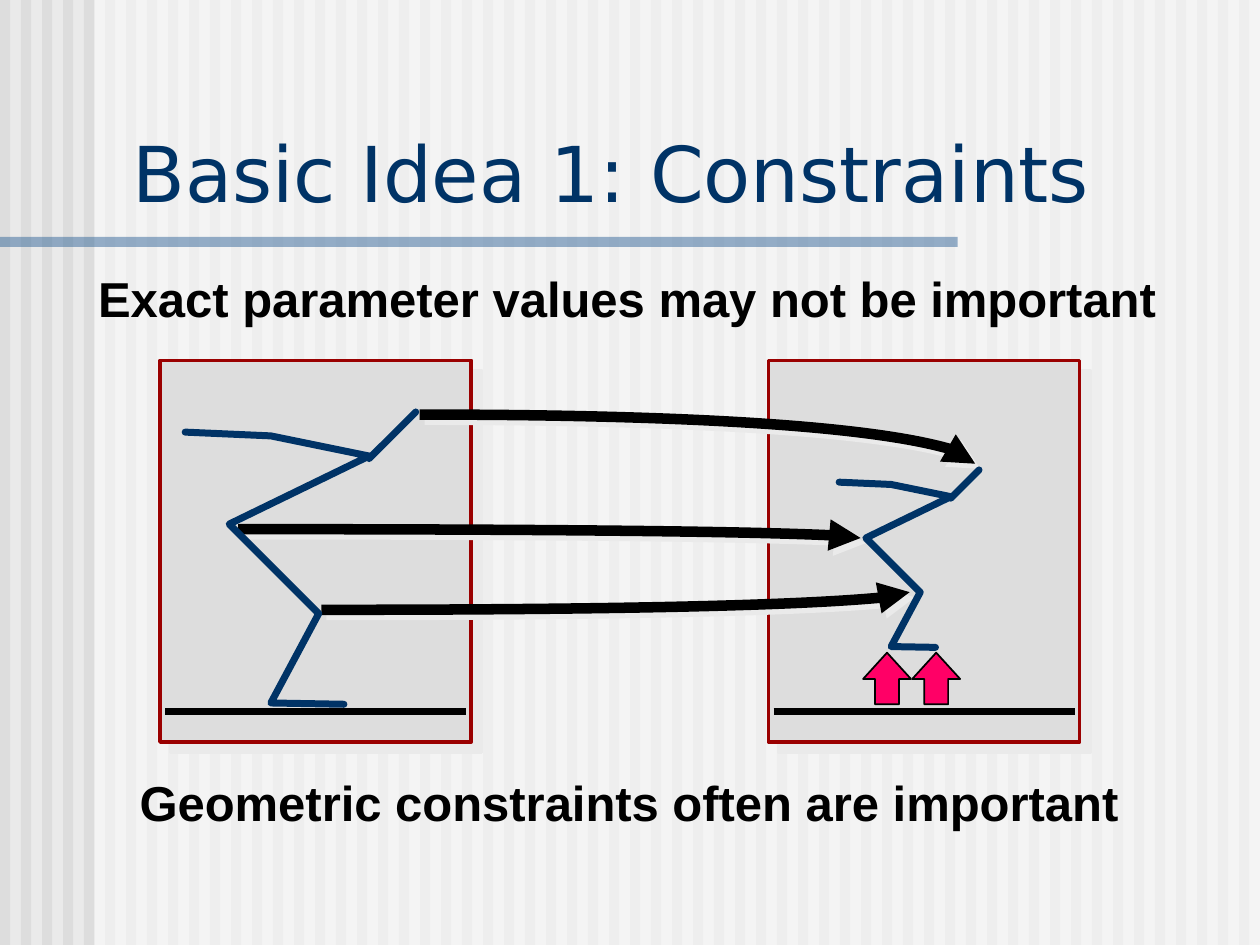
from lxml import etree
from pptx import Presentation
from pptx.dml.color import RGBColor
from pptx.enum.shapes import MSO_CONNECTOR, MSO_SHAPE
from pptx.enum.text import MSO_ANCHOR, MSO_AUTO_SIZE, PP_ALIGN
from pptx.oxml.ns import qn
from pptx.util import Inches, Pt

RECTANGLE, UP_ARROW = MSO_SHAPE.RECTANGLE, MSO_SHAPE.UP_ARROW
STRAIGHT = MSO_CONNECTOR.STRAIGHT
BOTTOM, LEFT, NO_AUTOFIT = MSO_ANCHOR.BOTTOM, PP_ALIGN.LEFT, MSO_AUTO_SIZE.NONE

PAPER = RGBColor(0xEA, 0xEA, 0xEA)
GREY = RGBColor(0xDD, 0xDD, 0xDD)
WHITE = RGBColor(0xFF, 0xFF, 0xFF)
BLACK = RGBColor(0, 0, 0)
STEEL = RGBColor(0x33, 0x66, 0x99)
NAVY = RGBColor(0x00, 0x33, 0x66)
MAROON = RGBColor(0x9A, 0x00, 0x00)
PINK = RGBColor(0xFF, 0x00, 0x66)

ELLIPSE_HANDLE = 0.5523  # Bezier handle length of a quarter ellipse

# Joints of the figure, in inches from its left edge and the top of its head
BODY = [(1.26, 2.32), (0.68, 2.31), (1.06, 1.6), (0.35, 0.89),
        (1.46, 0.35), (0.68, 0.19), (0, 0.16)]
HEAD = [(1.83, 0), (1.46, 0.37)]


def add_xml(parent, tag, **attributes):
    return etree.SubElement(
        parent, qn(tag), {key: str(value) for key, value in attributes.items()})


def style_line(line, color, width):
    line.color.rgb = color
    line.width = Pt(width)


def add_shadow(shape, distance):
    effects = shape.element.spPr.find(qn("a:effectLst"))
    shadow = add_xml(effects, "a:outerShdw", dist=Pt(distance), dir=45 * 60000,
                     algn="ctr", rotWithShape=0)
    add_xml(shadow, "a:srgbClr", val=PAPER)


def add_block(slide, kind, box, fill, line=None, opacity=None):
    """Add a filled preset shape; line is a (colour, width) pair."""
    block = slide.shapes.add_shape(kind, *map(Inches, box))
    block.shadow.inherit = False
    block.fill.solid()
    block.fill.fore_color.rgb = fill
    if opacity is not None:
        color = block.element.spPr.find(qn("a:solidFill"))[0]
        add_xml(color, "a:alpha", val=opacity * 1000)
    if line:
        style_line(block.line, *line)
    else:
        block.line.fill.background()
    return block


def add_outline(slide, points, color, width):
    """Add an open, unfilled path with round joins through the points."""
    start, *rest = [(Inches(x), Inches(y)) for x, y in points]
    builder = slide.shapes.build_freeform(*start, scale=1.0)
    builder.add_line_segments(rest, close=False)
    outline = builder.convert_to_shape()
    outline.shadow.inherit = False
    outline.fill.background()
    style_line(outline.line, color, width)
    add_xml(outline.element.spPr.find(qn("a:ln")), "a:round")
    return outline


def add_backdrop(slide, width, height):
    slide.background.fill.solid()
    slide.background.fill.fore_color.rgb = PAPER
    stripes_per_inch = 6
    for i in range(width * stripes_per_inch):
        stripe = (i / stripes_per_inch, 0, 0.08, height)
        add_block(slide, RECTANGLE, stripe, GREY)
    add_block(slide, RECTANGLE, (0.75, 0, width - 0.75, height), WHITE, opacity=50)
    add_block(slide, RECTANGLE, (0, 1.88, 7.6, 0.08), STEEL, opacity=50)


def format_text(frame, text, **font):
    frame.text = text
    frame.auto_size = NO_AUTOFIT
    paragraph = frame.paragraphs[0]
    paragraph.alignment = LEFT
    paragraph.font.color.rgb = font.pop("color")
    for name, value in font.items():
        setattr(paragraph.font, name, value)


def place_title(slide, box, text):
    title = slide.shapes.title
    title.left, title.top, title.width, title.height = map(Inches, box)
    format_text(title.text_frame, text, name="DejaVu Sans", size=Pt(44), color=NAVY)
    title.text_frame.vertical_anchor = BOTTOM
    title.element.getparent().append(title.element)  # in front of the backdrop


def add_statement(slide, box, text):
    statement = slide.shapes.add_textbox(*map(Inches, box))
    statement.text_frame.word_wrap = False
    format_text(statement.text_frame, text,
                name="Arial", size=Pt(28), bold=True, color=BLACK)


def add_panel(slide, box):
    panel = add_block(slide, RECTANGLE, box, GREY, (MAROON, 2))
    add_shadow(panel, 8.5)


def add_ground(slide, box):
    """Draw the floor line near the bottom of a panel's box."""
    left, top, width, height = box
    floor = top + height - 0.24
    ground = slide.shapes.add_connector(
        STRAIGHT, *map(Inches, (left + 0.04, floor, left + width - 0.04, floor)))
    style_line(ground.line, BLACK, 4)
    add_xml(ground.element.spPr, "a:effectLst")


def add_figure(slide, left, top, scale):
    for part in (BODY, HEAD):
        points = [(left + x * scale, top + y * scale) for x, y in part]
        limb = add_outline(slide, points, NAVY, 4)
        limb.element.spPr.find(qn("a:ln")).set("cap", "rnd")


def add_arc_arrow(slide, start, end):
    """Draw a quarter ellipse that leaves start horizontally, with an arrowhead."""
    (x0, y0), (x1, y1) = start, end
    handles = [(x0 + ELLIPSE_HANDLE * (x1 - x0), y0),
               (x1, y1 - ELLIPSE_HANDLE * (y1 - y0))]
    arrow = add_outline(slide, [start, *handles, end], BLACK, 6)
    outline_path = next(arrow.element.iter(qn("a:path")))
    segments = outline_path.findall(qn("a:lnTo"))
    curve = add_xml(outline_path, "a:cubicBezTo")
    for segment in segments:
        curve.append(segment[0])
        outline_path.remove(segment)
    add_xml(arrow.element.spPr.find(qn("a:ln")), "a:tailEnd", type="triangle")
    add_shadow(arrow, 4.2)


def add_lift_arrow(slide, box):
    lift = add_block(slide, UP_ARROW, box, PINK, (BLACK, 1))
    lift.adjustments[0], lift.adjustments[1] = 0.5, 0.55


def add_constraint_diagram(slide, left, top):
    panels = [(left + i * 4.83, top, 2.47, 3.03) for i in range(2)]
    for draw in (add_panel, add_ground):
        for panel in panels:
            draw(slide, panel)
    constraints = [((0.62, 1.34), (5.56, 1.41)),
                   ((2.06, 0.43), (6.47, 0.82)),
                   ((1.28, 1.98), (5.95, 1.84))]
    for ends in constraints:
        add_arc_arrow(slide, *[(left + x, top + y) for x, y in ends])
    add_figure(slide, left + 0.2, top + 0.41, 1)
    add_figure(slide, left + 5.39, top + 0.87, 0.607)
    for i in range(2):
        add_lift_arrow(slide, (left + 5.58 + i * 0.39, top + 2.32, 0.38, 0.41))


def main():
    prs = Presentation()
    prs.slide_width, prs.slide_height = Inches(10), Inches(7.5)
    slide = prs.slides.add_slide(prs.slide_layouts[5])
    add_backdrop(slide, 10, 7.5)
    place_title(slide, (0.95, 0.94, 8.93, 0.84), "Basic Idea 1: Constraints")
    add_constraint_diagram(slide, 1.27, 2.86)
    add_statement(slide, (0.68, 2.08, 8.59, 0.56),
                  "Exact parameter values may not be important")
    add_statement(slide, (1.01, 6.08, 7.97, 0.56),
                  "Geometric constraints often are important")
    prs.save("out.pptx")


if __name__ == "__main__":
    main()
